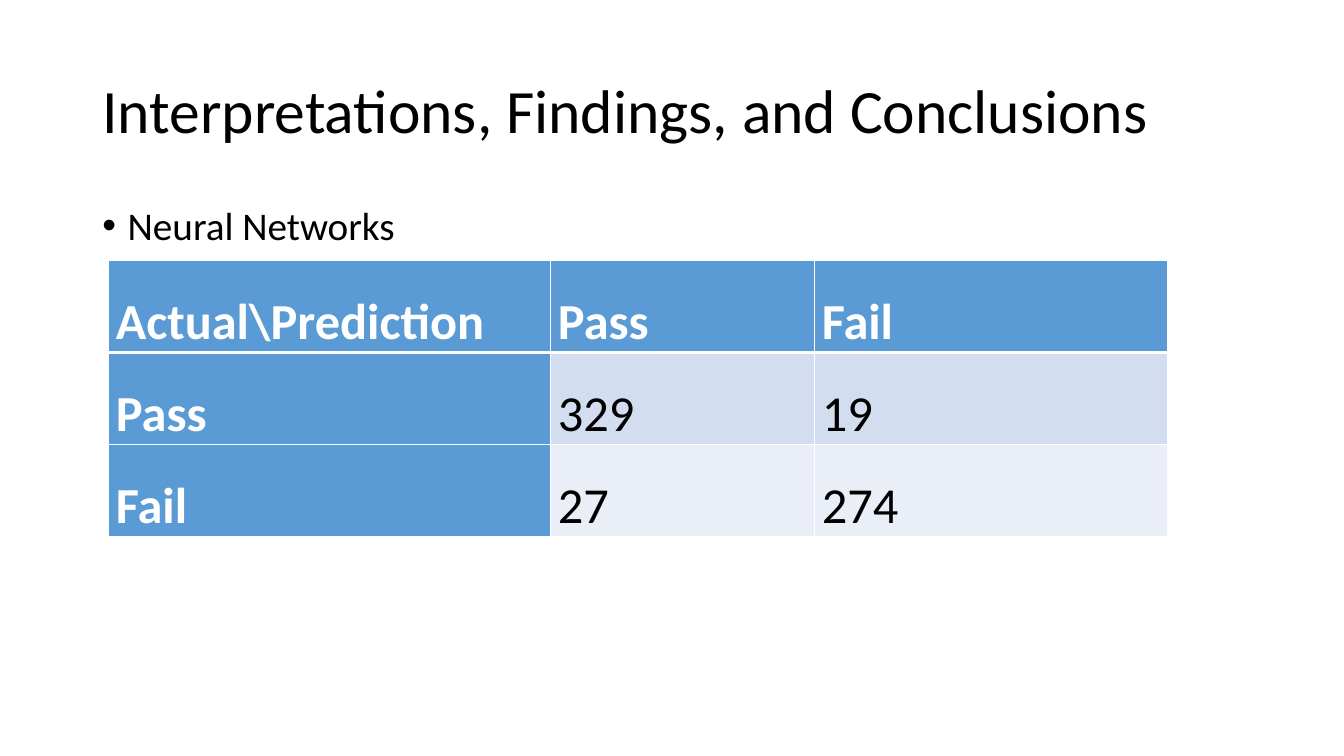
from dataclasses import dataclass

from lxml import etree
from pptx import Presentation
from pptx.dml.color import RGBColor
from pptx.enum.text import MSO_ANCHOR, PP_ALIGN
from pptx.oxml.ns import qn
from pptx.util import Cm, Pt

TOP, MIDDLE = MSO_ANCHOR.TOP, MSO_ANCHOR.MIDDLE
JUSTIFY = PP_ALIGN.JUSTIFY


@dataclass(frozen=True)
class Theme:
    font: str = "Calibri"
    text: str = "000000"
    light: str = "FFFFFF"
    header: str = "5B9BD5"
    bands: tuple = ("D2DEEF", "EAEFF7")
    title_size: int = 44
    body_size: int = 28
    table_size: int = 36
    rule: int = 1
    header_rule: int = 3


THEME = Theme()

CONFUSION_MATRIX = [
    ["Actual\\Prediction", "Pass", "Fail"],
    ["Pass", "329", "19"],
    ["Fail", "27", "274"],
]
COLUMN_WIDTHS = [Cm(11.14), Cm(6.65), Cm(8.9)]
ROW_HEIGHT = Cm(2.32)


def style_paragraph(p, size, color, spacing, bold=False):
    """Format the line spacing and the runs of a paragraph."""
    p.line_spacing = spacing
    for r in p.runs:
        r.font.name = THEME.font
        r.font.size = Pt(size)
        r.font.bold = bold
        r.font.color.rgb = RGBColor.from_string(color)


def add_text(s, text, top, height, size, anchor):
    """Add a wrapped text box in the content column and return its paragraph."""
    tf = s.shapes.add_textbox(Cm(2.33), top, Cm(29.21), height).text_frame
    tf.word_wrap = True
    tf.vertical_anchor = anchor
    tf.text = text
    p = tf.paragraphs[0]
    style_paragraph(p, size, THEME.text, 0.9)
    return p


def add_bullet(p):
    """Give a paragraph a round bullet with a hanging indent."""
    p.space_before = Pt(10)
    pPr = p._p.get_or_add_pPr()
    pPr.set("marL", str(Cm(0.64)))
    pPr.set("indent", str(-Cm(0.64)))
    etree.SubElement(pPr, qn("a:buFont"), typeface="Arial")
    etree.SubElement(pPr, qn("a:buChar"), char="•")


def set_borders(cell, top, bottom):
    """Draw the four borders of a cell with the given top and bottom widths."""
    tcPr = cell._tc.get_or_add_tcPr()
    sides = {"L": THEME.rule, "R": THEME.rule, "T": top, "B": bottom}
    for i, (side, width) in enumerate(sides.items()):
        ln = etree.Element(qn(f"a:ln{side}"), w=str(Pt(width)))
        fill = etree.SubElement(ln, qn("a:solidFill"))
        etree.SubElement(fill, qn("a:srgbClr"), val=THEME.light)
        tcPr.insert(i, ln)


def fill_cell(cell, text, row, col):
    """Write and style one cell according to its place in the matrix."""
    heading = row == 0 or col == 0
    fill = THEME.header if heading else THEME.bands[(row - 1) % 2]
    cell.margin_left = cell.margin_right = Cm(0.19)
    cell.margin_top = cell.margin_bottom = 0
    cell.fill.solid()
    cell.fill.fore_color.rgb = RGBColor.from_string(fill)
    set_borders(cell,
                top=THEME.header_rule if row == 1 else THEME.rule,
                bottom=THEME.header_rule if row == 0 else THEME.rule)
    cell.text = text
    p = cell.text_frame.paragraphs[0]
    p.alignment = JUSTIFY
    style_paragraph(p, THEME.table_size, THEME.light if heading else THEME.text,
                    1.5, bold=heading)


def add_matrix(s, rows, left, top):
    """Add the confusion matrix as a table."""
    table = s.shapes.add_table(len(rows), len(COLUMN_WIDTHS), left, top,
                               sum(COLUMN_WIDTHS), ROW_HEIGHT * len(rows)).table
    for column, width in zip(table.columns, COLUMN_WIDTHS):
        column.width = width
    for i, row in enumerate(rows):
        table.rows[i].height = ROW_HEIGHT
        for j, text in enumerate(row):
            fill_cell(table.cell(i, j), text, i, j)


def main():
    """Build the slide and save it."""
    prs = Presentation()
    prs.slide_width, prs.slide_height = Cm(33.87), Cm(19.05)
    s = prs.slides.add_slide(prs.slide_layouts[6])
    add_text(s, "Interpretations, Findings, and Conclusions",
             Cm(1.01), Cm(3.68), THEME.title_size, MIDDLE)
    add_bullet(add_text(s, "Neural Networks",
                        Cm(5.07), Cm(12.09), THEME.body_size, TOP))
    add_matrix(s, CONFUSION_MATRIX, Cm(2.73), Cm(6.56))
    prs.save("out.pptx")


if __name__ == "__main__":
    main()
